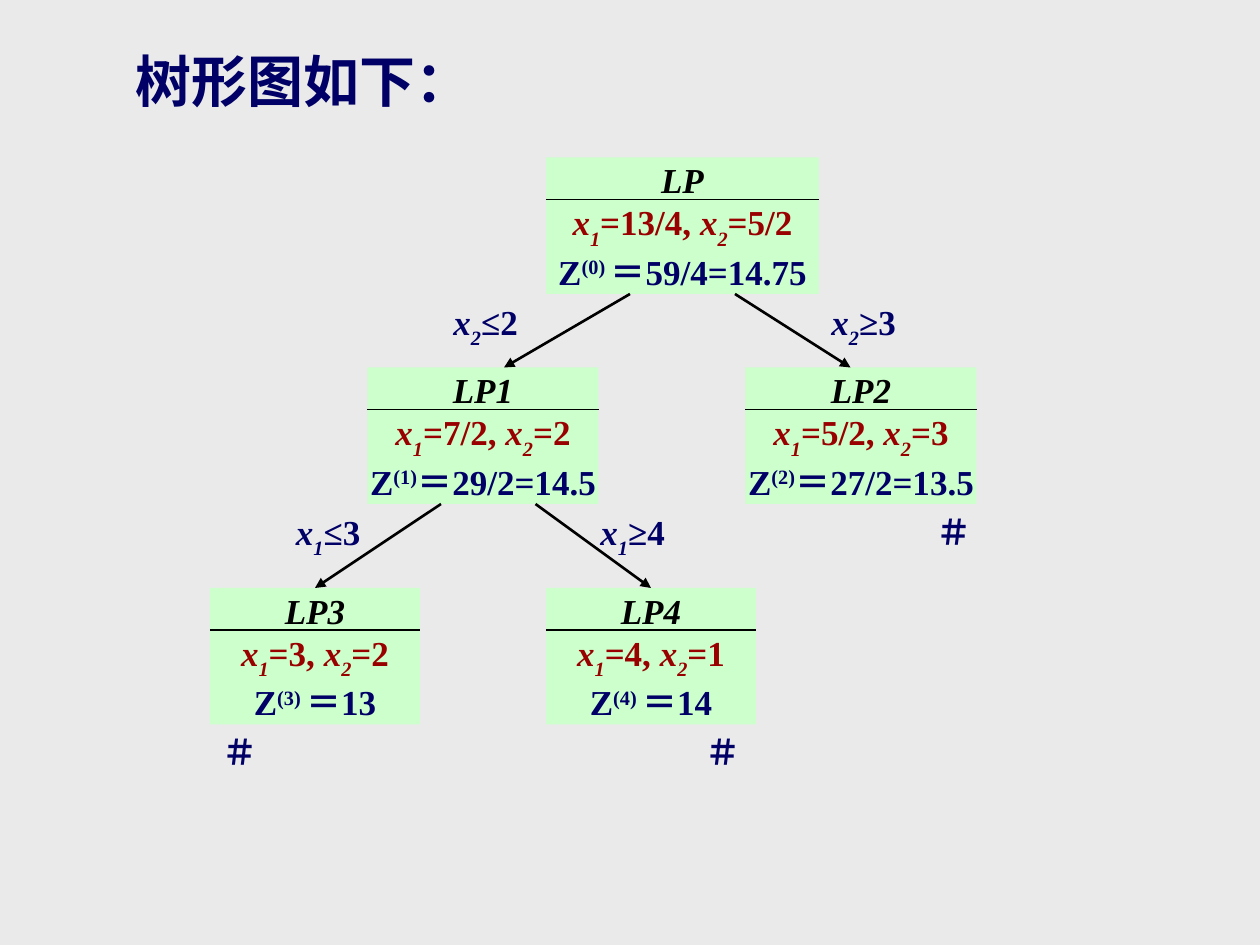
"""Build the branch-and-bound tree slide on a grid of 120 columns by 90 rows."""
import pptx
import pptx.util
import pptx.dml.color
import pptx.enum.shapes
import pptx.enum.text
import pptx.oxml

Kind = pptx.enum.shapes
Text = pptx.enum.text
NAVY, RED, BLACK, MINT = "000066", "990000", "000000", "CCFFCC"
BASE = {"sub": "-30000", "sup": "30000"}

deck = pptx.Presentation()
deck.slide_width = pptx.util.Inches(10)
deck.slide_height = pptx.util.Inches(7.5)
cell = deck.slide_width // 120
slide = deck.slides.add_slide(deck.slide_layouts[6])
shapes = slide.shapes
color = pptx.dml.color.RGBColor.from_string
slide.background.fill.solid()
slide.background.fill.fore_color.rgb = color("EAEAEA")


def write(para, parts, tint, size=20):
    for words, style in parts:
        run = para.add_run()
        run.text = words
        font = run.font
        font.name = "Times New Roman"
        font.size = pptx.util.Pt(size)
        font.bold = True
        font.italic = style in ("var", "sub")
        font.color.rgb = color(tint)
        if style in BASE:
            run._r.get_or_add_rPr().set("baseline", BASE[style])


def link(start, end, width):
    ends = [round(n * cell) for n in start + end]
    line = shapes.add_connector(Kind.MSO_CONNECTOR.STRAIGHT, *ends)
    line.line.color.rgb = color(BLACK)
    line.line.width = pptx.util.Pt(width)
    line._element.spPr.append(pptx.oxml.parse_xml(
        '<a:effectLst xmlns:a="http://schemas.openxmlformats.org/drawingml/2006/main"/>'))
    return line


nodes = [
    ("LP1", 35, 35, 22, "7/2", "2", "(1)", "＝29/2=14.5"),
    ("LP", 52, 15, 26, "13/4", "5/2", "(0) ", "＝59/4=14.75"),
    ("LP2", 71, 35, 22, "5/2", "3", "(2)", "＝27/2=13.5"),
    ("LP3", 20, 56, 20, "3", "2", "(3) ", "＝13"),
    ("LP4", 52, 56, 20, "4", "1", "(4) ", "＝14"),
]
boxes = {}
for name, col, row, wide, one, two, step, value in nodes:
    box = shapes.add_shape(Kind.MSO_SHAPE.RECTANGLE, col * cell, row * cell, wide * cell, 13 * cell)
    box.shadow.inherit = False
    box.fill.solid()
    box.fill.fore_color.rgb = color(MINT)
    box.line.fill.background()
    frame = box.text_frame
    frame.word_wrap = False
    frame.vertical_anchor = Text.MSO_ANCHOR.MIDDLE
    rows = [
        ([(name, "var")], BLACK),
        ([("x", "var"), ("1", "sub"), (f"={one}, ", ""),
          ("x", "var"), ("2", "sub"), (f"={two}", "")], RED),
        ([("Z", ""), (step, "sup"), (value, "")], NAVY),
    ]
    for i, (parts, tint) in enumerate(rows):
        para = frame.add_paragraph() if i else frame.paragraphs[0]
        para.alignment = Text.PP_ALIGN.CENTER
        write(para, parts, tint)
    link((col, row + 4), (col + wide, row + 4), 0.75)
    boxes[name] = box

arrows = [
    ((60, 28), (48, 35), None),
    ((70, 28), (81, 35), None),
    ((42, 48), (30, 56), "LP3"),
    ((51, 48), (62, 56), "LP4"),
]
for start, end, goal in arrows:
    arrow = link(start, end, 1.5)
    if goal:
        arrow.end_connect(boxes[goal], 0)
    arrow.line._get_or_add_ln().append(pptx.oxml.parse_xml(
        '<a:tailEnd xmlns:a="http://schemas.openxmlformats.org/drawingml/2006/main" type="triangle"/>'))

labels = [
    (11.75, 3.8, 34.7, 7.6, [("树形图如下：", "")], 32, False),
]
for col, row, sub, bound in [(42, 28, "2", "≤2"), (78, 28, "2", "≥3"),
                             (27, 48, "1", "≤3"), (56, 48, "1", "≥4")]:
    labels.append((col, row, 11.2, 5.2, [("x", "var"), (sub, "sub"), (bound, "")], 20, True))
for col, row in [(88, 48), (66, 69), (20, 69)]:
    labels.append((col, row, 5.8, 5.2, [("＃", "")], 20, False))
for col, row, wide, high, parts, size, wrap in labels:
    note = shapes.add_textbox(*[round(n * cell) for n in (col, row, wide, high)])
    note.text_frame.word_wrap = wrap
    note.text_frame.auto_size = Text.MSO_AUTO_SIZE.SHAPE_TO_FIT_TEXT
    write(note.text_frame.paragraphs[0], parts, NAVY, size)

deck.save("out.pptx")
